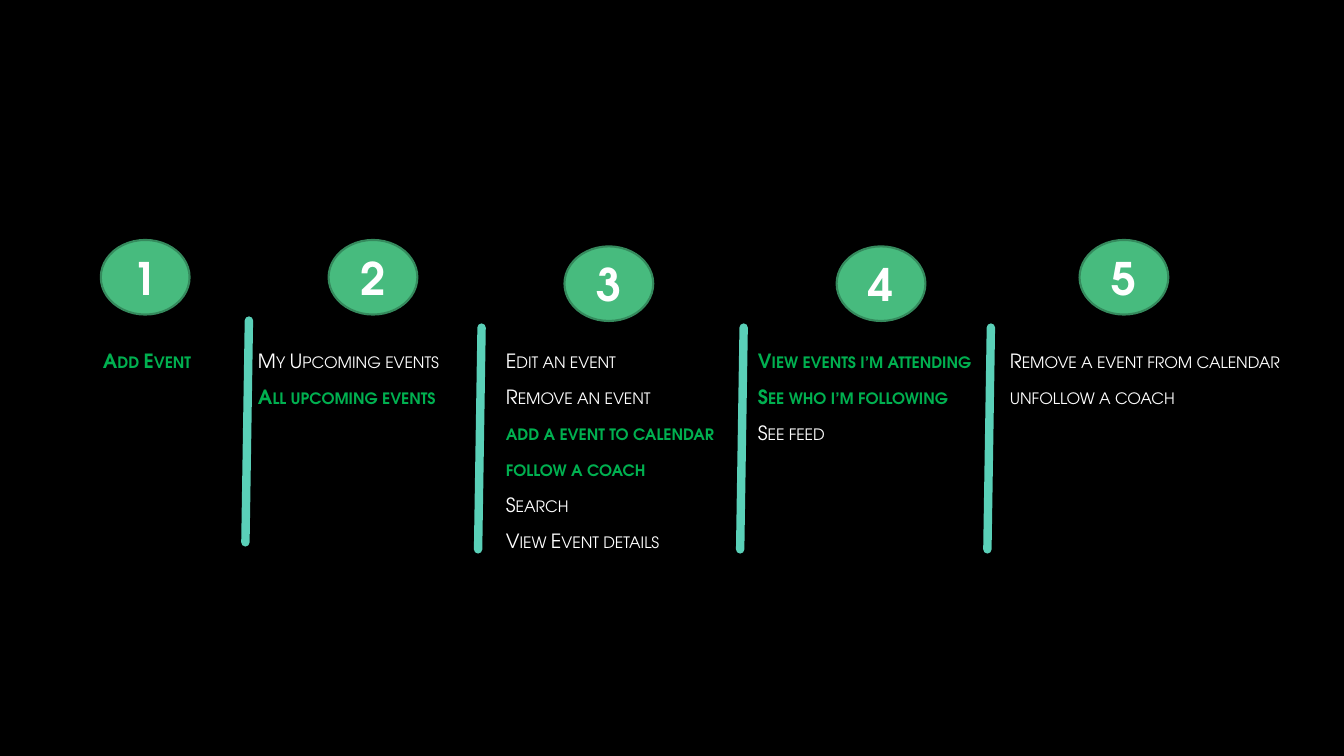
from lxml.etree import SubElement
from pptx import Presentation
from pptx.dml.color import RGBColor
from pptx.enum.shapes import MSO_CONNECTOR as Line, MSO_SHAPE as Shape
from pptx.enum.text import MSO_ANCHOR as Anchor, PP_ALIGN as Align
from pptx.oxml.ns import qn
from pptx.util import Pt

FACE = "TeX Gyre Adventor"
WHITE, GREEN = "FFFFFF", "00B050"
TOP = 171.4

STAGES = [
    (73.5, 100, 72, 0, [("Add Event", True)]),
    (184.3, 155, 234.7, 0, [("My Upcoming events", False),
                            ("All upcoming events", True)]),
    (361.4, 160, 403.2, 4.6, [("Edit an event", False),
                              ("Remove an event", False),
                              ("add a event to calendar", True),
                              ("follow a coach", True),
                              ("Search", False),
                              ("View Event details", False)]),
    (541.4, 162, 597.6, 4.6, [("View events i’m attending", True),
                              ("See who i’m following", True),
                              ("See feed", False)]),
    (721.4, 215, 771.1, 0, [("Remove a event from calendar", False),
                            ("unfollow a coach", False)]),
]
RULES = [(177.8, 229), (344, 234), (531.2, 234), (707.8, 234)]


def color(code):
    """Return the colour for a hex string."""
    return RGBColor.from_string(code)


def style(run, size, code, bold):
    """Format one run of text."""
    font = run.font
    font.name, font.size, font.bold = FACE, Pt(size), bold
    font.color.rgb = color(code)


def badge(slide, left, top, label):
    """Draw a numbered oval with its corner at left, top."""
    oval = slide.shapes.add_shape(Shape.OVAL, Pt(left), Pt(top), Pt(63.4), Pt(53.3))
    oval.shadow.inherit = False
    oval.fill.solid()
    oval.fill.fore_color.rgb = color("47BB7E")
    oval.line.color.rgb = color("358A5D")
    oval.line.width = Pt(1.5)
    frame = oval.text_frame
    frame.text = label
    frame.vertical_anchor = Anchor.MIDDLE
    para = frame.paragraphs[0]
    para.alignment = Align.CENTER
    style(para.runs[0], 32, WHITE, True)


def tasks(slide, left, top, width, items):
    """List the tasks of a stage, with the chosen ones in bold green."""
    box = slide.shapes.add_textbox(Pt(left), Pt(top), Pt(width), Pt(25.8 * len(items)))
    frame = box.text_frame
    frame.word_wrap = True
    frame.margin_left = frame.margin_right = 0
    frame.margin_top = frame.margin_bottom = 0
    frame.text = "\n".join(text for text, _ in items)
    for para, (_, chosen) in zip(frame.paragraphs, items):
        para.line_spacing = Pt(17)
        para.space_after = Pt(8.7)
        run = para.runs[0]
        style(run, 14, GREEN if chosen else WHITE, chosen)
        run.font._element.set("cap", "small")


def stage(slide, label, left, width, spot, drop, items):
    """Build one stage: its badge and the tasks below it."""
    badge(slide, spot, TOP + drop, label)
    tasks(slide, left, TOP + 77.6, width, items)


def rule(slide, left, top):
    """Draw a slightly slanted, round-ended divider."""
    line = slide.shapes.add_connector(
        Line.STRAIGHT, Pt(left), Pt(top), Pt(left - 2.5), Pt(top + 158.4))
    line.line.color.rgb = color("5AD0B8")
    line.line.width = Pt(6)
    line.line._ln.set("cap", "rnd")
    SubElement(line._element.spPr, qn("a:effectLst"))


def main():
    """Build and save the slide."""
    deck = Presentation()
    deck.slide_width, deck.slide_height = Pt(960), Pt(540)
    slide = deck.slides.add_slide(deck.slide_layouts[6])
    slide.background.fill.solid()
    slide.background.fill.fore_color.rgb = color("000000")
    for left, top in RULES:
        rule(slide, left, top)
    for num, parts in enumerate(STAGES, 1):
        stage(slide, str(num), *parts)
    deck.save("out.pptx")


if __name__ == "__main__":
    main()
